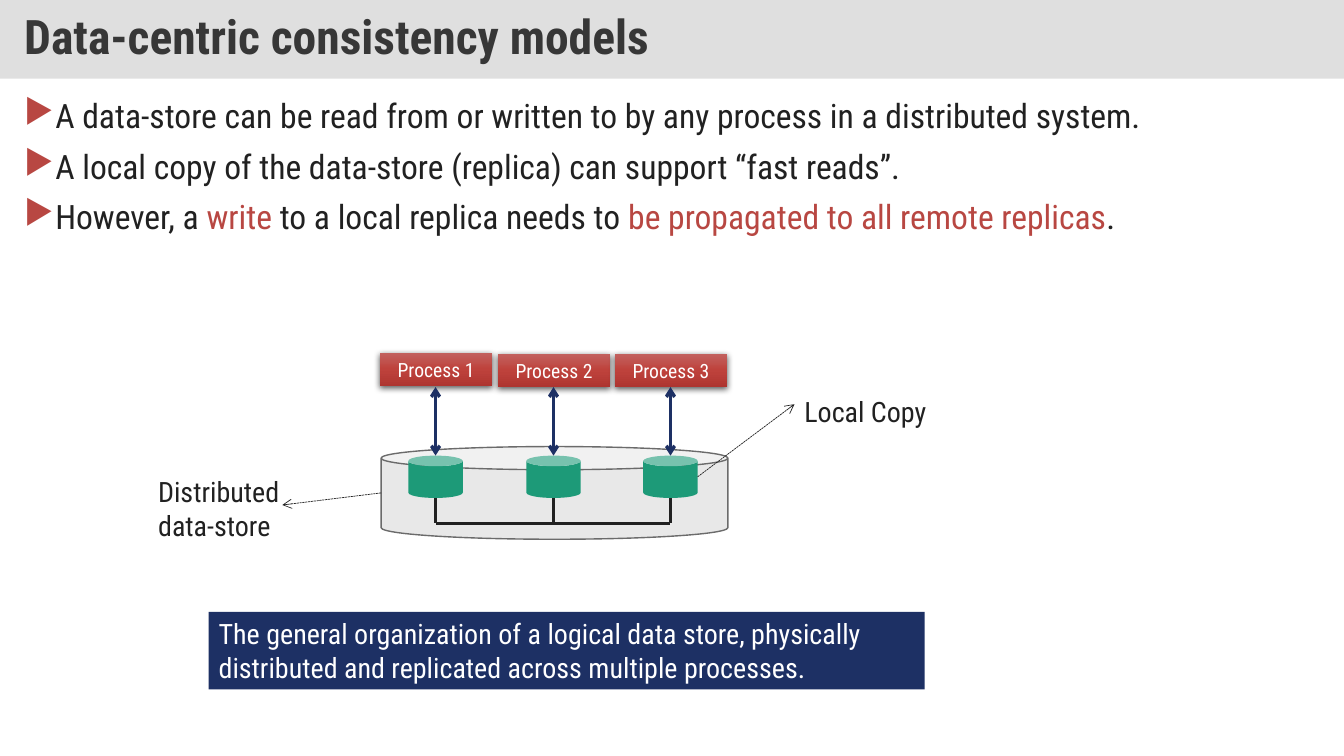
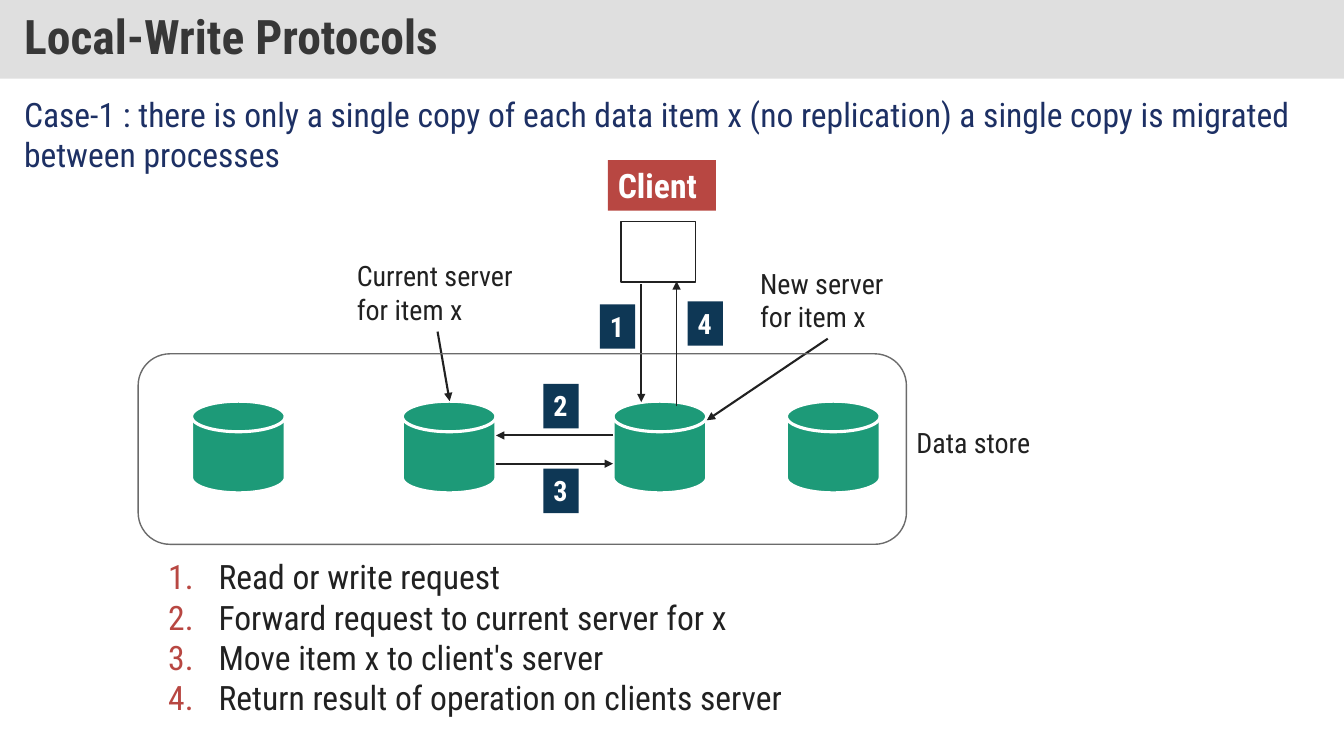
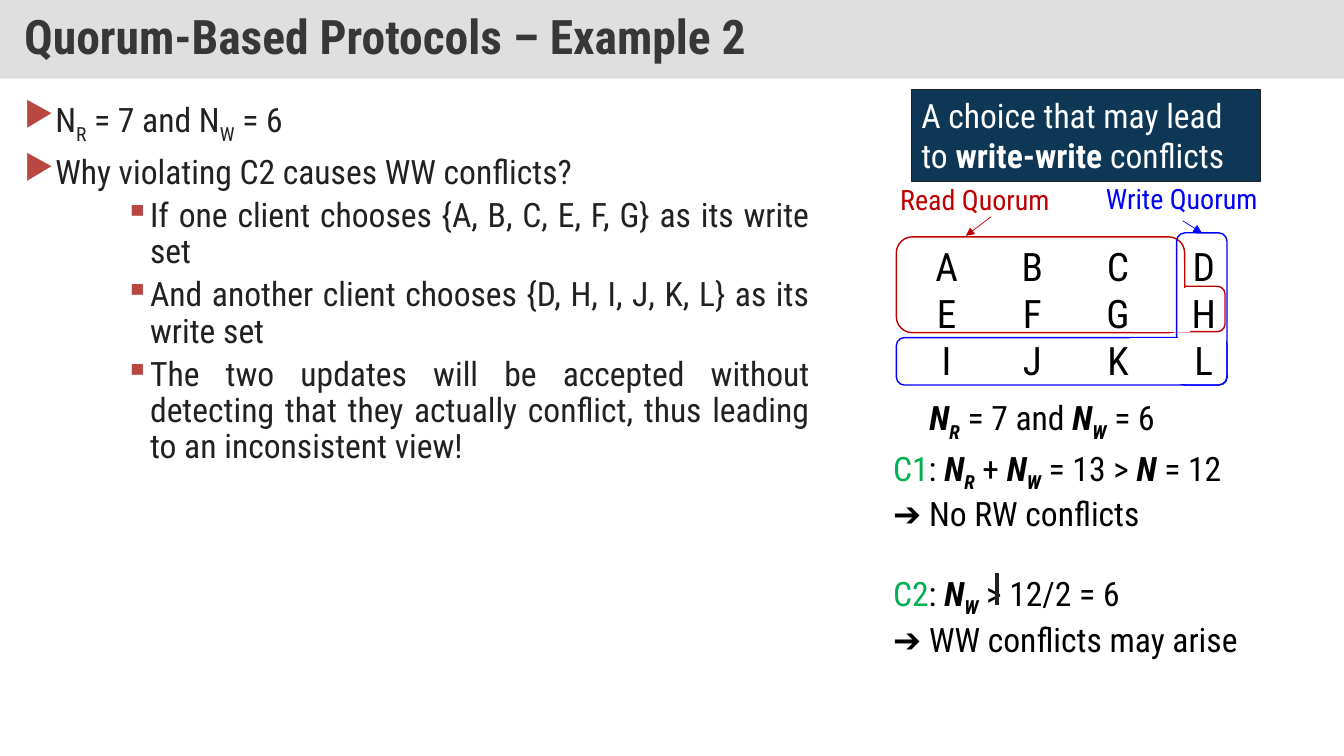
from copy import deepcopy
from dataclasses import dataclass

from lxml import etree
from pptx import Presentation
from pptx import util as u
from pptx.dml.color import RGBColor
from pptx.enum import dml, shapes, text
from pptx.oxml import ns

MSO = shapes.MSO_SHAPE
ALIGN = text.PP_ALIGN
ANCHOR = text.MSO_ANCHOR


@dataclass(frozen=True)
class Theme:
    font: str = "Roboto Condensed"
    # Colours
    band: str = "C0C0C0"
    heading: str = "373737"
    ink: str = "212121"
    black: str = "000000"
    white: str = "FFFFFF"
    accent: str = "B84742"
    navy: str = "1D3064"
    dark: str = "0E3755"
    green: str = "1D9A78"
    condition: str = "00B050"
    gray: str = "909090"
    outline: str = "6B6B6B"
    read_quorum: str = "C00000"
    write_quorum: str = "0000FF"
    process: tuple = ("C2615E", "BE423C", "AE3530")
    # Type sizes
    title: int = 34
    letters: int = 28
    body: int = 24
    label: int = 20
    small: int = 14


T = Theme()


# Basic helpers
def rgb(value):
    return RGBColor.from_string(value)


def inches(*values):
    return [u.Inches(v) for v in values]


def child(parent, tag, **attrs):
    return etree.SubElement(parent, ns.qn(tag), attrs)


def paint(sp, color, alpha=None):
    if color is None:
        sp.fill.background()
        return
    sp.fill.solid()
    sp.fill.fore_color.rgb = rgb(color)
    if alpha:
        srgb = sp._element.spPr.find(".//" + ns.qn("a:srgbClr"))
        child(srgb, "a:alpha", val=str(alpha * 1000))


# Text
def sub(letter):
    return letter, {"sub": True}


def var(name, index=None):
    """A bold italic symbol with an optional subscript."""
    style = {"bold": True, "italic": True}
    runs = [(name, style)]
    return runs + [(index, {**style, "sub": True})] if index else runs


def add_runs(p, runs):
    for item in [runs] if isinstance(runs, str) else runs:
        words, style = (item, {}) if isinstance(item, str) else item
        r = p.add_run()
        r.text = words
        if "color" in style:
            r.font.color.rgb = rgb(style["color"])
        if "bold" in style:
            r.font.bold = style["bold"]
        if "italic" in style:
            r.font.italic = style["italic"]
        if style.get("sub"):
            r._r.get_or_add_rPr().set("baseline", "-25000")


def set_text(tf, paragraphs, size=T.label, color=T.ink, bold=False,
             align=ALIGN.LEFT, anchor=ANCHOR.TOP):
    tf.word_wrap = True
    tf.vertical_anchor = anchor
    for i, runs in enumerate(paragraphs):
        p = tf.add_paragraph() if i else tf.paragraphs[0]
        p.alignment = align
        p.font.name = T.font
        p.font.size = u.Pt(size)
        p.font.bold = bold
        p.font.color.rgb = rgb(color)
        add_runs(p, runs)
    return tf.paragraphs


def add_text(s, at, paragraphs, wrap=True, **style):
    tf = s.shapes.add_textbox(*inches(*at)).text_frame
    ps = set_text(tf, paragraphs, **style)
    tf.word_wrap = wrap
    if not wrap:
        tf.auto_size = text.MSO_AUTO_SIZE.SHAPE_TO_FIT_TEXT
    return ps


def set_bullet(p, left, hang, mark=None):
    """Bullet with the given character, or a running number."""
    pPr = p._p.get_or_add_pPr()
    pPr.set("marL", str(u.Inches(left)))
    pPr.set("indent", str(-u.Inches(hang)))
    clr = etree.Element(ns.qn("a:buClr"))
    child(clr, "a:srgbClr", val=T.accent)
    if mark:
        bu = etree.Element(ns.qn("a:buChar"), char=mark)
    else:
        bu = etree.Element(ns.qn("a:buAutoNum"), type="arabicPeriod")
    defaults = pPr.find(ns.qn("a:defRPr"))
    defaults.addprevious(clr)
    defaults.addprevious(bu)


def add_bullets(s, at, main_points, details=()):
    ps = add_text(s, at, [*main_points, *details], size=T.body,
                  align=ALIGN.JUSTIFY)
    for i, p in enumerate(ps):
        top = i < len(main_points)
        p.line_spacing = 0.9
        p.space_before = u.Pt(10 if top else 5)
        set_bullet(p, *((0.29, 0.29, "▶") if top else (1.25, 0.25, "▪")))


# Shapes and lines
def add_box(s, kind, at, fill=None, line=None, width=1, alpha=None):
    sp = s.shapes.add_shape(kind, *inches(*at))
    sp.shadow.inherit = False
    paint(sp, fill, alpha)
    if line:
        sp.line.color.rgb = rgb(line)
        sp.line.width = u.Pt(width)
    else:
        sp.line.fill.background()
    return sp


def add_panel(s, at, fill, paragraphs, line=None, **style):
    sp = add_box(s, MSO.RECTANGLE, at, fill, line, 0.75)
    set_text(sp.text_frame, paragraphs, color=T.white, **style)


def add_line(s, start, end, color=T.ink, width=1.5, head=None, tail=None,
             dashed=False):
    ln = s.shapes.add_connector(shapes.MSO_CONNECTOR.STRAIGHT,
                                *inches(*start, *end))
    ln.line.color.rgb = rgb(color)
    ln.line.width = u.Pt(width)
    if dashed:
        ln.line.dash_style = dml.MSO_LINE.SQUARE_DOT
    spPr = ln._element.spPr
    for tag, arrow in (("a:headEnd", head), ("a:tailEnd", tail)):
        if arrow:
            child(spPr.find(ns.qn("a:ln")), tag, type=arrow)
    child(spPr, "a:effectLst")


def add_process(s, at, name):
    """Glossy box with a soft shadow."""
    sp = add_box(s, MSO.RECTANGLE, at)
    sp.fill.gradient()
    stops = sp._element.spPr.find(".//" + ns.qn("a:gsLst"))
    stops.insert(1, deepcopy(stops[0]))
    for i, (stop, color) in enumerate(zip(sp.fill.gradient_stops, T.process)):
        stop.position = i / 2
        stop.color.rgb = rgb(color)
    sp.fill.gradient_angle = 270
    effects = sp._element.spPr.find(ns.qn("a:effectLst"))
    shadow = child(effects, "a:outerShdw", blurRad=str(u.Pt(4.5)),
                   dist=str(u.Pt(1.5)), dir="5400000", rotWithShape="0")
    child(child(shadow, "a:srgbClr", val=T.black), "a:alpha", val="63000")
    set_text(sp.text_frame, [name], size=T.small, color=T.white,
             align=ALIGN.CENTER, anchor=ANCHOR.MIDDLE)


# Slide frame: title in a gray band
def new_slide(prs, title):
    s = prs.slides.add_slide(prs.slide_layouts[5])
    sp = s.shapes.title
    sp.left, sp.top, sp.width, sp.height = inches(0, 0, 13.33, 0.78)
    paint(sp, T.band, 50)
    tf = sp.text_frame
    tf.auto_size = text.MSO_AUTO_SIZE.NONE
    tf.margin_left = tf.margin_right = u.Inches(0.24)
    tf.margin_top = tf.margin_bottom = u.Inches(0.12)
    p = set_text(tf, [title], size=T.title, color=T.heading, bold=True,
                 anchor=ANCHOR.MIDDLE)[0]
    p.line_spacing = 0.9
    return s


def consistency_slide(prs):
    s = new_slide(prs, "Data-centric consistency models")
    red = {"color": T.accent}
    add_bullets(s, (0.14, 0.94, 13.05, 6.11), [
        "A data-store can be read from or written to by any process in a "
        "distributed system.",
        "A local copy of the data-store (replica) can support “fast reads”.",
        ["However, a ", ("write", red), " to a local replica needs to ",
         ("be propagated to all remote replicas", red), "."],
    ])
    add_panel(s, (2.07, 6.07, 7.1, 0.77), T.navy, [
        "The general organization of a logical data store, physically "
        "distributed and replicated across multiple processes."])

    # Store, replicas and processes
    add_box(s, MSO.CAN, (3.78, 4.43, 3.44, 0.92), T.gray, T.outline, alpha=20)
    centers = [4.32, 5.49, 6.65]
    add_line(s, (centers[0], 5.19), (centers[-1], 5.19), width=2.25)
    for i, x in enumerate(centers):
        add_box(s, MSO.CAN, (x - 0.27, 4.52, 0.54, 0.42), T.green)
        add_line(s, (x, 4.94), (x, 5.19), width=2.25)
        add_process(s, (x - 0.55, 3.51 if i else 3.5, 1.11, 0.33),
                    f"Process {i + 1}")
        add_line(s, (x, 3.84), (x, 4.52), T.navy, 2.25, "arrow", "arrow")

    # Callouts
    for start, end, at, words in (
            ((6.92, 4.73), (7.88, 4.01), (7.88, 3.86, 1.5, 0.44),
             "Local Copy"),
            ((3.78, 4.89), (2.8, 5.01), (1.47, 4.66, 1.5, 0.77),
             "Distributed data-store")):
        add_line(s, start, end, width=0.5, tail="arrow", dashed=True)
        add_text(s, at, [words])


def local_write_slide(prs):
    s = new_slide(prs, "Local-Write Protocols")
    add_text(s, (0.14, 0.88, 12.87, 0.91), [
        "Case-1 : there is only a single copy of each data item x (no "
        "replication) a single copy is migrated between processes"],
        size=T.body, color=T.navy)
    for p in add_text(s, (1.57, 5.47, 6.54, 1.72), [
            "Read or write request",
            "Forward request to current server for x",
            "Move item x to client's server",
            "Return result of operation on clients server"], size=T.body):
        set_bullet(p, 0.5, 0.5)

    # Step numbers
    for step, x, y in (("1", 5.95, 3.02), ("4", 6.82, 2.99),
                       ("2", 5.39, 3.81), ("3", 5.39, 4.65)):
        add_panel(s, (x, y, 0.35, 0.44), T.dark, [step], bold=True)

    # Client and servers
    add_box(s, MSO.RECTANGLE, (6.16, 2.2, 0.74, 0.6), line=T.ink)
    for x in (1.9, 3.99, 6.08, 7.8):
        add_box(s, MSO.FLOWCHART_MAGNETIC_DISK, (x, 3.98, 0.93, 0.91),
                T.green, T.white, 2.25)
    add_panel(s, (6.03, 1.59, 1.07, 0.5), T.accent, ["Client"],
              size=T.body, bold=True)
    for at, words in (((3.44, 2.52, 1.81, 0.77), "Current server for item x"),
                      ((7.44, 2.59, 1.55, 0.77), "New server for item x"),
                      ((8.99, 4.17, 1.55, 0.44), "Data store")):
        add_text(s, at, [words])

    # Pointers and messages
    for start, end in (((4.34, 3.29), (4.46, 3.98)),
                       ((8.21, 3.36), (7.01, 4.17)),
                       ((6.08, 4.32), (4.92, 4.32)),
                       ((4.92, 4.6), (6.08, 4.6)),
                       ((6.36, 2.82), (6.36, 3.99))):
        add_line(s, start, end, tail="triangle")
    add_box(s, MSO.ROUNDED_RECTANGLE, (1.37, 3.51, 7.62, 1.89),
            line=T.outline)
    add_line(s, (6.71, 4.03), (6.71, 2.79), width=1, tail="triangle")


def add_quorum(s, color, outlines, joints):
    """Rounded outlines merged by white joints."""
    for at in outlines:
        add_box(s, MSO.ROUNDED_RECTANGLE, at, line=color)
    for at in joints:
        add_box(s, MSO.RECTANGLE, at, T.white, T.white)


def add_letter_grid(s, at, rows):
    """Letters in columns held by centred tab stops."""
    for p in add_text(s, at, ["\t" + "\t".join(row) for row in rows],
                      size=T.letters, color=T.black, anchor=ANCHOR.MIDDLE):
        tabs = etree.Element(ns.qn("a:tabLst"))
        for i in range(len(rows[0])):
            child(tabs, "a:tab", pos=str(u.Inches(0.54 + 0.85 * i)),
                  algn="ctr")
        p._p.pPr.find(ns.qn("a:defRPr")).addprevious(tabs)


def quorum_slide(prs):
    s = new_slide(prs, "Quorum-Based Protocols – Example 2")
    add_bullets(s, (0.14, 0.94, 7.99, 6.11), [
        ["N", sub("R"), " = 7 and N", sub("W"), " = 6"],
        "Why violating C2 causes WW conflicts?",
    ], [
        "If one client chooses {A, B, C, E, F, G} as its write set",
        "And another client chooses {D, H, I, J, K, L} as its write set",
        "The two updates will be accepted without detecting that they "
        "actually conflict, thus leading to an inconsistent view!",
    ])

    # Replicas and the two quorums
    add_letter_grid(s, (8.75, 2.02, 3.83, 2.17), ("ABCD", "EFGH", "IJKL"))
    add_quorum(s, T.read_quorum,
               [(8.89, 2.35, 2.86, 0.95), (11.5, 2.84, 0.65, 0.45)],
               [(11.24, 2.86, 0.56, 0.43), (11.33, 2.59, 0.41, 0.36)])
    add_quorum(s, T.write_quorum,
               [(8.89, 3.35, 3.28, 0.47), (11.67, 2.31, 0.5, 1.51)],
               [(11.21, 3.36, 0.6, 0.44), (11.69, 3.34, 0.46, 0.09)])
    for words, color, at, start, end in (
            ("Read Quorum", T.read_quorum, (8.83, 1.76, 1.7, 0.44),
             (9.83, 2.15), (9.58, 2.34)),
            ("Write Quorum", T.write_quorum, (10.87, 1.75, 1.72, 0.44),
             (11.73, 2.19), (11.92, 2.31))):
        add_line(s, start, end, color, 0.5, tail="triangle")
        add_text(s, at, [words], wrap=False, color=color)

    # Conditions
    n_r, n_w = var("N", "R"), var("N", "W")
    green = {"color": T.condition}
    add_text(s, (9.12, 3.89, 2.5, 0.5),
             [[*n_r, " = 7 and ", *n_w, " = 6"]],
             wrap=False, size=T.body, color=T.black)
    checks = add_text(s, (8.76, 4.39, 3.74, 2.12), [
        [("C1", green), ": ", *n_r, " + ", *n_w, " = 13 > ", *var("N"),
         " = 12"],
        "➔ No RW conflicts",
        [("C2", green), ": ", *n_w, " > 12/2 = 6"],
        "➔ WW conflicts may arise",
    ], wrap=False, size=T.body, color=T.black)
    checks[2].space_before = u.Pt(28)
    add_line(s, (9.89, 5.68), (9.89, 6), width=2.75)
    add_panel(s, (9.04, 0.89, 3.46, 0.91), T.dark, [
        ["A choice that may lead to ", ("write-write ", {"bold": True}),
         "conflicts"]], line=T.ink, size=T.body)


def main():
    prs = Presentation()
    prs.slide_width, prs.slide_height = inches(13.33, 7.5)
    consistency_slide(prs)
    local_write_slide(prs)
    quorum_slide(prs)
    prs.save("out.pptx")


main()
